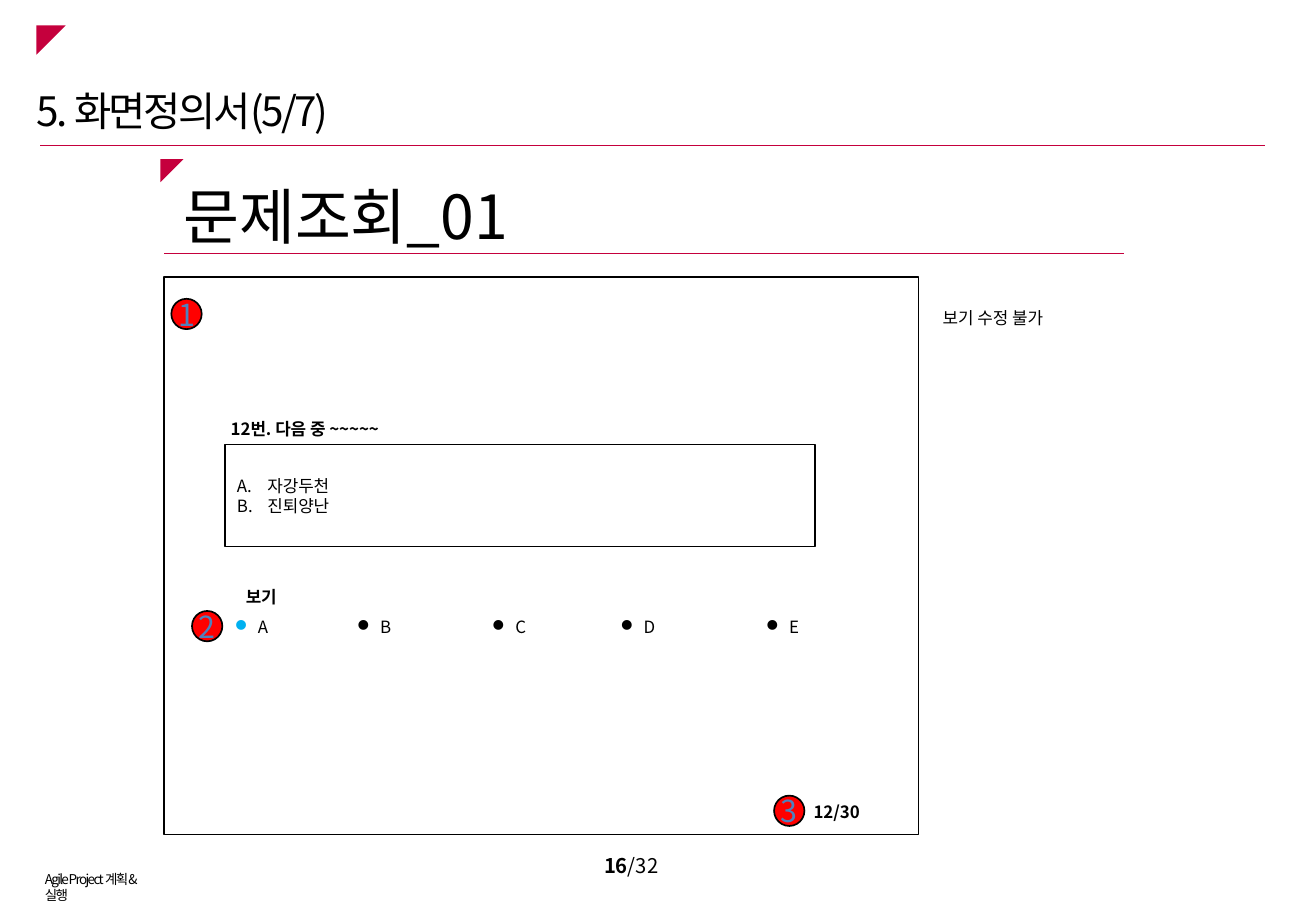
"""Build the quiz question screen definition slide."""
from lxml.etree import SubElement
from pptx import Presentation
from pptx.dml.color import RGBColor
from pptx.enum.shapes import MSO_CONNECTOR, MSO_SHAPE
from pptx.enum.text import MSO_ANCHOR, MSO_AUTO_SIZE, PP_ALIGN
from pptx.oxml.ns import qn
from pptx.util import Pt

PX = 9144
FONT = "Noto Sans CJK KR"
RED = RGBColor(0xC5, 0x00, 0x3D)
BADGE = RGBColor(0xFF, 0x00, 0x00)
BLUE = RGBColor(0x4F, 0x81, 0xBD)
CYAN = RGBColor(0x00, 0xB0, 0xF0)
BLACK = RGBColor(0, 0, 0)
WHITE = RGBColor(0xFF, 0xFF, 0xFF)
LEFT, MID = PP_ALIGN.LEFT, PP_ALIGN.CENTER

TITLE = "5. 화면정의서(5/7)"
TERMS = ["자강두천", "진퇴양난"]
FOOTER = "Agile Project 계획&실행"
PAGE = ("16", "/32")
LABELS = [
    ("문제조회_01", (141, 142, 724, 71), 36, False, LEFT),
    ("보기 수정 불가", (766, 248, 177, 27), 10, False, LEFT),
    ("12번. 다음 중 ~~~~~", (180, 340, 178, 27), 10, True, LEFT),
    ("보기", (183, 478, 64, 27), 10, True, MID),
    ("12/30", (637, 655, 103, 27), 10, True, MID),
]
CHOICES = [("A", 162, CYAN), ("B", 263, BLACK), ("C", 374, BLACK),
           ("D", 480, BLACK), ("E", 599, BLACK)]
BADGES = [("1", 141, 246), ("2", 158, 503), ("3", 637, 655)]
RULES = [(33, 1041, 120), (135, 925, 209)]
FLAGS = [(30, 21, 24), (132, 131, 19)]
FRAME = (135, 228, 621, 459)
BOX = (185, 366, 486, 84)


def scale(*nums):
    return [n * PX for n in nums]


def place(shape, box):
    shape.left, shape.top, shape.width, shape.height = scale(*box)


def style(para, size, color=BLACK, bold=False, align=LEFT, gap=0):
    para.alignment = align
    for run in para.runs:
        font = run.font
        font.name, font.size, font.bold = FONT, Pt(size), bold
        font.color.rgb = color
        props = run._r.get_or_add_rPr()
        SubElement(props, qn("a:ea"), typeface=FONT)
        if gap:
            props.set("spc", str(gap))


def indent(para, size):
    props = para._p.get_or_add_pPr()
    props.set("marL", str(size * PX))
    props.set("indent", str(-size * PX))
    return props


def dot(para, color):
    props = indent(para, 19)
    SubElement(SubElement(props, qn("a:buClr")), qn("a:srgbClr"), val=str(color))
    SubElement(props, qn("a:buFont"), typeface="Wingdings")
    SubElement(props, qn("a:buChar"), char="l")


def label(slide, text, box):
    frame = slide.shapes.add_textbox(*scale(*box)).text_frame
    frame.word_wrap = True
    frame.text = text
    return frame.paragraphs[0]


def draw(slide, kind, box, fill=None, line=None):
    shape = slide.shapes.add_shape(kind, *scale(*box))
    shape.shadow.inherit = False
    if fill is None:
        shape.fill.background()
    else:
        shape.fill.solid()
        shape.fill.fore_color.rgb = fill
    if line is None:
        shape.line.fill.background()
    else:
        shape.line.color.rgb, shape.line.width = line, Pt(1)
    return shape


def rule(slide, left, right, top):
    line = slide.shapes.add_connector(
        MSO_CONNECTOR.STRAIGHT, *scale(left, top, right, top))
    line.line.color.rgb, line.line.width = RED, Pt(0.75)
    SubElement(line._element.spPr, qn("a:effectLst"))


def head(slide):
    shape = slide.shapes.title
    place(shape, (20, 66, 505, 50))
    frame = shape.text_frame
    frame.text = TITLE
    frame.auto_size = MSO_AUTO_SIZE.NONE
    frame.vertical_anchor = MSO_ANCHOR.TOP
    style(frame.paragraphs[0], 24, gap=-150)


def terms(slide):
    shape = slide.placeholders[1]
    place(shape, BOX)
    shape.fill.solid()
    shape.fill.fore_color.rgb = WHITE
    shape.line.color.rgb, shape.line.width = BLACK, Pt(1)
    frame = shape.text_frame
    frame.text = "\n".join(TERMS)
    frame.auto_size = MSO_AUTO_SIZE.NONE
    frame.vertical_anchor = MSO_ANCHOR.MIDDLE
    for para in frame.paragraphs:
        para.space_before = Pt(0)
        props = indent(para, 25)
        SubElement(props, qn("a:buFont"), typeface=FONT)
        SubElement(props, qn("a:buAutoNum"), type="alphaUcPeriod")
        style(para, 10)


def badge(slide, text, left, top):
    shape = draw(slide, MSO_SHAPE.OVAL, (left, top, 25, 25), BADGE, BLACK)
    frame = shape.text_frame
    frame.word_wrap = False
    frame.vertical_anchor = MSO_ANCHOR.MIDDLE
    frame.text = text
    style(frame.paragraphs[0], 18, BLUE, align=MID)


def page(slide):
    para = label(slide, PAGE[0], (458, 698, 123, 37))
    para.add_run().text = PAGE[1]
    style(para, 12, align=MID)
    para.runs[0].font.bold = True


def main():
    deck = Presentation()
    deck.slide_width, deck.slide_height = scale(1083, 750)
    slide = deck.slides.add_slide(deck.slide_layouts[1])
    head(slide)
    terms(slide)
    style(label(slide, FOOTER, (27, 712, 112, 24)), 8, gap=-100)
    page(slide)
    for ends in RULES:
        rule(slide, *ends)
    for left, top, size in FLAGS:
        flag = draw(slide, MSO_SHAPE.ISOSCELES_TRIANGLE, (left, top, size, size), RED)
        flag.adjustments[0] = 1
        flag.rotation = 180
    draw(slide, MSO_SHAPE.RECTANGLE, FRAME, line=BLACK)
    for text, box, size, bold, align in LABELS:
        style(label(slide, text, box), size, bold=bold, align=align)
    for text, left, color in CHOICES:
        para = label(slide, text, (left, 503, 90, 27))
        dot(para, color)
        style(para, 10, align=MID)
    for item in BADGES:
        badge(slide, *item)
    deck.save("out.pptx")


if __name__ == "__main__":
    main()
